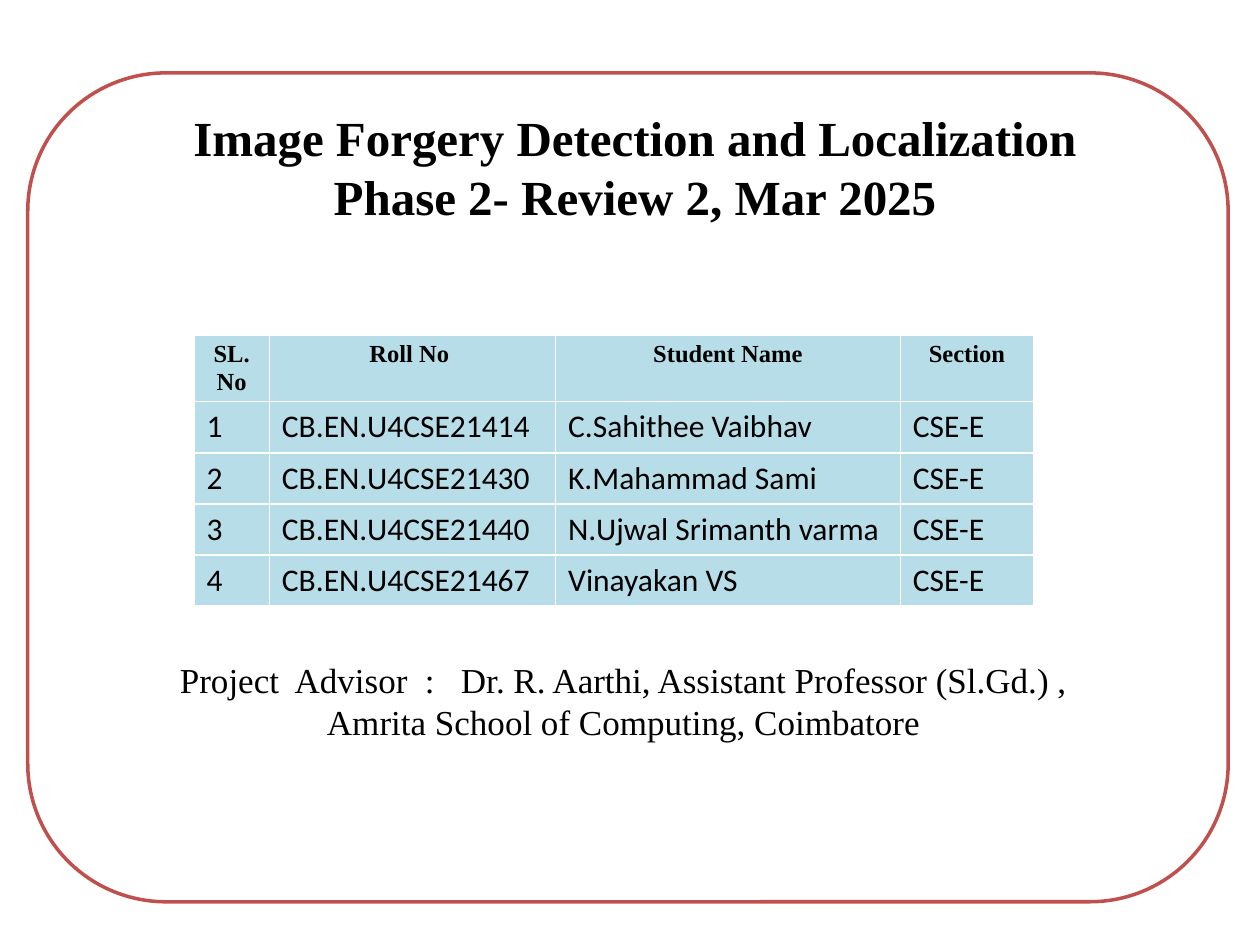
import dataclasses

import pptx
import pptx.dml.color
import pptx.enum.shapes
import pptx.enum.text
import pptx.util

Cm, Pt = pptx.util.Cm, pptx.util.Pt
RGB = pptx.dml.color.RGBColor.from_string
CENTER = pptx.enum.text.PP_ALIGN.CENTER
LEFT = pptx.enum.text.PP_ALIGN.LEFT
MIDDLE = pptx.enum.text.MSO_ANCHOR.MIDDLE

HEADINGS = ["SL.No", "Roll No ", "Student Name", "Section"]
STUDENTS = [
    ("CB.EN.U4CSE21414", "C.Sahithee Vaibhav"),
    ("CB.EN.U4CSE21430", "K.Mahammad Sami"),
    ("CB.EN.U4CSE21440", "N.Ujwal Srimanth varma"),
    ("CB.EN.U4CSE21467", "Vinayakan VS"),
]
SECTION = "CSE-E"
TITLE = ["Image Forgery Detection and Localization", "Phase 2- Review 2, Mar 2025"]
ADVISOR = [
    "Project  Advisor  :   Dr. R. Aarthi, Assistant Professor (Sl.Gd.) , ",
    "Amrita School of Computing, Coimbatore ",
]


@dataclasses.dataclass(frozen=True)
class Theme:
    """Colours, fonts and type sizes of the slide."""
    ink: str = "000000"
    paper: str = "FFFFFF"
    border: str = "C0504D"
    cell: str = "B7DEE8"
    serif: str = "Times New Roman"
    sans: str = "Calibri"
    title: int = 28
    advisor: int = 20
    heading: int = 14
    entry: int = 18


class SlideBuilder:
    """Adds styled elements to the current slide."""

    def __init__(self, slide, theme):
        self.slide = slide
        self.theme = theme

    def add_text(self, paragraph, text, size, font, bold=False, align=CENTER):
        paragraph.alignment = align
        run = paragraph.add_run()
        run.text = text
        run.font.name = font
        run.font.size = Pt(size)
        run.font.bold = bold
        run.font.color.rgb = RGB(self.theme.ink)

    def frame(self, left, top, width, height, lines, text_top):
        panel = self.slide.shapes.add_shape(
            pptx.enum.shapes.MSO_SHAPE.ROUNDED_RECTANGLE,
            Cm(left), Cm(top), Cm(width), Cm(height))
        self.slide.shapes.element.insert(2, panel.element)
        panel.shadow.inherit = False
        panel.fill.solid()
        panel.fill.fore_color.rgb = RGB(self.theme.paper)
        panel.line.color.rgb = RGB(self.theme.border)
        panel.line.width = Pt(2)
        body = panel.text_frame
        body.word_wrap = True
        body.vertical_anchor = MIDDLE
        body.margin_top = Cm(text_top)
        for index, line in enumerate(lines):
            paragraph = body.add_paragraph() if index else body.paragraphs[0]
            self.add_text(paragraph, line, self.theme.advisor, self.theme.serif)

    def title(self, left, top, width, height, lines, text_bottom):
        heading = self.slide.shapes.title
        heading.left, heading.top = Cm(left), Cm(top)
        heading.width, heading.height = Cm(width), Cm(height)
        body = heading.text_frame
        body.auto_size = pptx.enum.text.MSO_AUTO_SIZE.NONE
        body.vertical_anchor = MIDDLE
        body.margin_bottom = Cm(text_bottom)
        paragraph = body.paragraphs[0]
        paragraph.line_spacing = Pt(34)
        for index, line in enumerate(lines):
            if index:
                paragraph.add_line_break()
            self.add_text(paragraph, line, self.theme.title, self.theme.serif, bold=True)

    def table(self, left, top, widths, heights, rows):
        grid = self.slide.shapes.add_table(
            len(rows), len(widths), Cm(left), Cm(top),
            Cm(sum(widths)), Cm(sum(heights))).table
        grid.horz_banding = False
        for column, width in zip(grid.columns, widths):
            column.width = Cm(width)
        for r, (row, height) in enumerate(zip(rows, heights)):
            grid.rows[r].height = Cm(height)
            for c, text in enumerate(row):
                cell = grid.cell(r, c)
                cell.fill.solid()
                cell.fill.fore_color.rgb = RGB(self.theme.cell)
                paragraph = cell.text_frame.paragraphs[0]
                if r == 0:
                    self.add_text(paragraph, text, self.theme.heading,
                                  self.theme.serif, bold=True)
                else:
                    self.add_text(paragraph, text, self.theme.entry,
                                  self.theme.sans, align=LEFT)


def main():
    deck = pptx.Presentation()
    deck.slide_width, deck.slide_height = Cm(25.4), Cm(19.05)
    slide = deck.slides.add_slide(deck.slide_layouts[0])
    subtitle = slide.placeholders[1].element
    subtitle.getparent().remove(subtitle)

    builder = SlideBuilder(slide, Theme())
    builder.frame(0.56, 1.47, 24.2, 16.71, ADVISOR, text_top=8.71)
    builder.title(2, 1.9, 21.6, 4.1, TITLE, text_bottom=1.32)
    students = [(str(number), roll, name, SECTION)
                for number, (roll, name) in enumerate(STUDENTS, 1)]
    builder.table(3.91, 6.75, [1.52, 5.77, 6.95, 2.69],
                  [1.34] + [1.03] * len(students), [HEADINGS] + students)
    deck.save("out.pptx")


if __name__ == "__main__":
    main()
